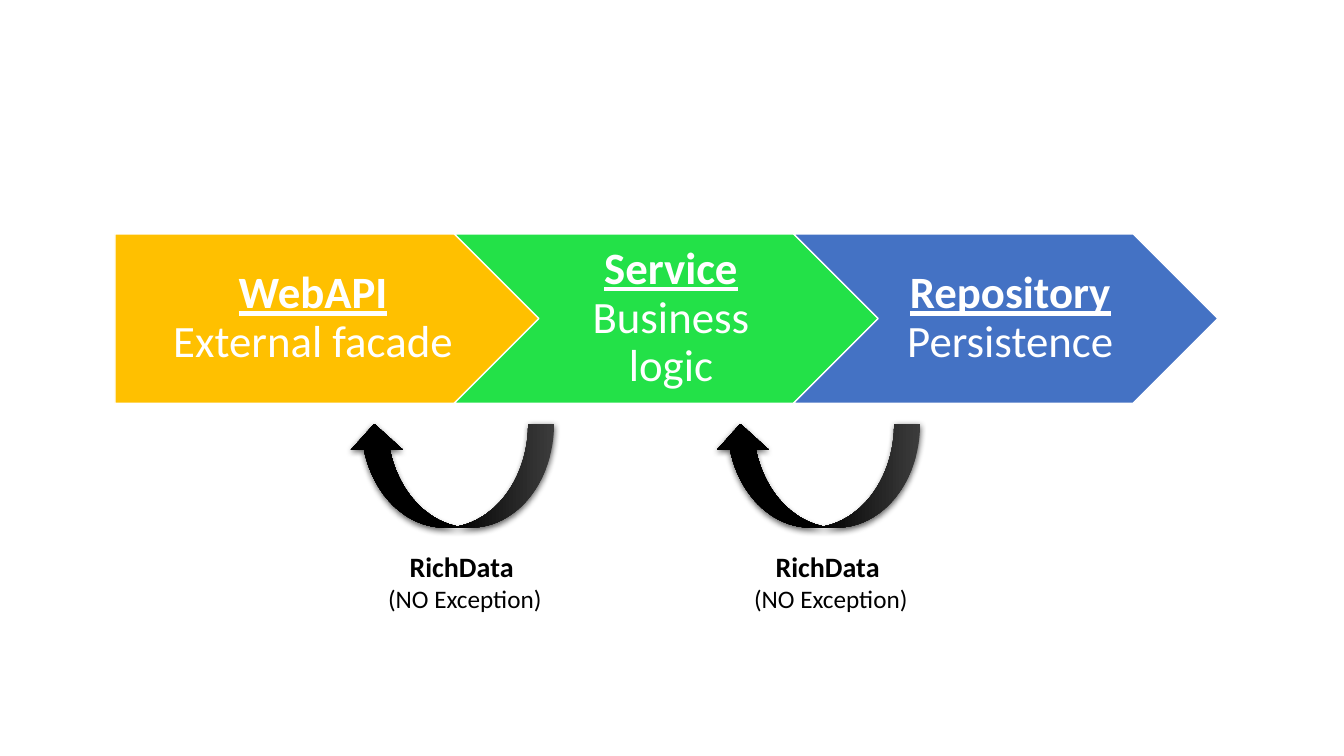
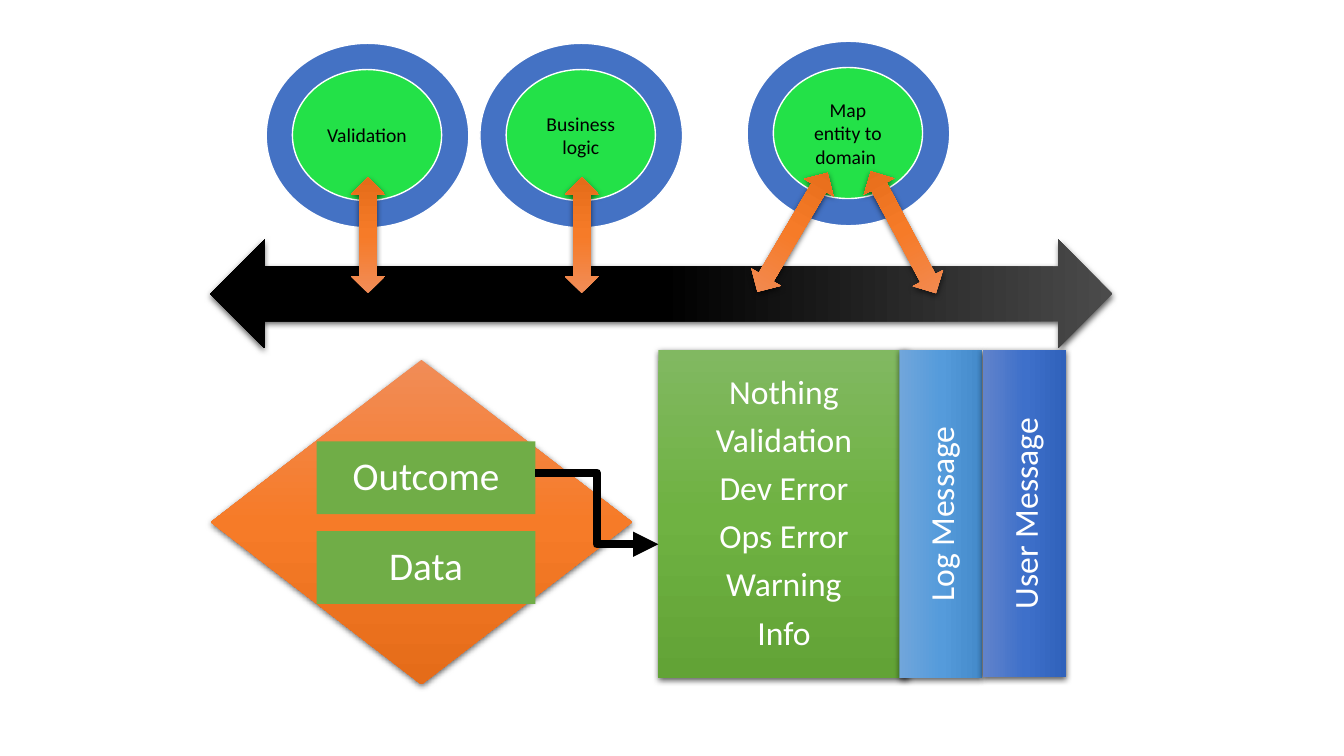
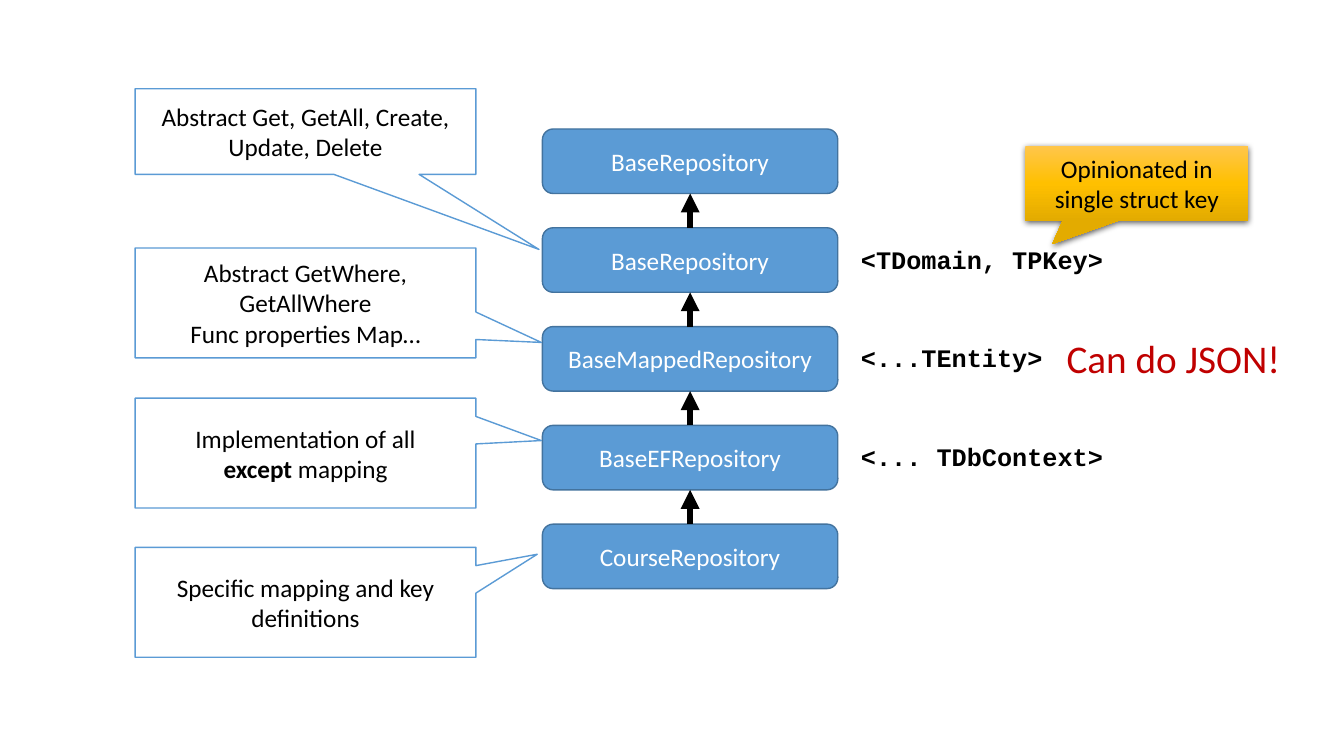
from copy import deepcopy

from lxml.etree import SubElement
from pptx import Presentation
from pptx.dml.color import RGBColor
from pptx.enum.shapes import MSO_CONNECTOR, MSO_SHAPE
from pptx.enum.text import MSO_ANCHOR, PP_ALIGN
from pptx.oxml.ns import qn
from pptx.util import Inches, Pt

COLORS = {
    "white": "FFFFFF", "black": "000000", "amber": "FFC000", "lime": "23E148",
    "blue": "4472C4", "sky": "5B9BD5", "sky edge": "43739E", "green": "70AD47",
    "red": "C00000",
}
GRADIENTS = {
    "black glow": ("4B4B4B", "000000", "000000"),
    "orange glow": ("F18C57", "F67B28", "E56C19"),
    "green glow": ("81B861", "6FB242", "62A336"),
    "sky glow": ("71A6DB", "559BDB", "448ACA"),
    "blue glow": ("6183CB", "3E70CA", "3062BB"),
    "amber glow": ("FFC64B", "FFC000", "E3AB00"),
}


def rgb(name):
    """Return the palette colour with this name."""
    return RGBColor.from_string(COLORS[name])


def write_text(shape, paragraphs, size=18, color="white", font="Calibri", bold=False,
               align=PP_ALIGN.CENTER, anchor=MSO_ANCHOR.MIDDLE, wrap=True,
               margins=(0.1, 0.05, 0.1, 0.05), line_spacing=None, space_after=None):
    """Write paragraphs, each a string or a list of (text, font overrides) runs."""
    frame = shape.text_frame
    frame.word_wrap = wrap
    frame.vertical_anchor = anchor
    (frame.margin_left, frame.margin_top,
     frame.margin_right, frame.margin_bottom) = map(Inches, margins)
    for index, content in enumerate(paragraphs):
        paragraph = frame.add_paragraph() if index else frame.paragraphs[0]
        paragraph.alignment = align
        paragraph.line_spacing = line_spacing
        paragraph.space_after = space_after
        for text, overrides in [(content, {})] if isinstance(content, str) else content:
            if text == "\n":
                paragraph.add_line_break()
                continue
            run = paragraph.add_run()
            run.text = text
            run.font.name = font
            run.font.size = Pt(overrides.get("size", size))
            run.font.bold = overrides.get("bold", bold)
            run.font.underline = overrides.get("underline", False)
            run.font.color.rgb = rgb(color)


def apply_glow(shape, colors):
    """Give a shape a vertical three-stop gradient and a soft shadow."""
    shape.fill.gradient()
    shape.fill.gradient_angle = 270
    stops = shape.element.spPr.find(".//" + qn("a:gsLst"))
    stops.append(deepcopy(stops[0]))
    for stop, color, position in zip(shape.fill.gradient_stops, colors, (0, 0.5, 1)):
        stop.color.rgb = RGBColor.from_string(color)
        stop.position = position
    shadow = SubElement(
        shape.element.spPr.find(qn("a:effectLst")), qn("a:outerShdw"),
        blurRad=str(Pt(4.5)), dist=str(Pt(1.5)), dir="5400000", algn="ctr", rotWithShape="0")
    color = SubElement(shadow, qn("a:srgbClr"), val=COLORS["black"])
    SubElement(color, qn("a:alpha"), val="63000")


def add_box(slide, kind, box, fill, line=None, rotation=0, adjustments=()):
    """Add a preset shape with a plain or a glowing fill."""
    shape = slide.shapes.add_shape(kind, *map(Inches, box))
    shape.shadow.inherit = False
    shape.rotation = rotation
    for index, value in enumerate(adjustments):
        shape.adjustments[index] = value
    if fill in GRADIENTS:
        apply_glow(shape, GRADIENTS[fill])
    else:
        shape.fill.solid()
        shape.fill.fore_color.rgb = rgb(fill)
    if line:
        shape.line.color.rgb = rgb(line)
        shape.line.width = Pt(1)
    else:
        shape.line.fill.background()
    return shape


def add_label(slide, box, paragraphs, **text_format):
    """Add a text box."""
    label = slide.shapes.add_textbox(*map(Inches, box))
    write_text(label, paragraphs, anchor=MSO_ANCHOR.TOP, **text_format)


def add_arrow(slide, kind, start, end, width):
    """Add a black connector with a triangle at its end."""
    connector = slide.shapes.add_connector(kind, *map(Inches, (*start, *end)))
    connector.line.color.rgb = rgb("black")
    connector.line.width = Pt(width)
    properties = connector.element.spPr
    SubElement(properties.find(qn("a:ln")), qn("a:tailEnd"), type="triangle")
    SubElement(properties, qn("a:effectLst"))


def add_layer_chain(slide, left, top):
    """Draw the three layers as a row of interlocking arrows."""
    layers = [
        (MSO_SHAPE.PENTAGON, "amber", 0.19, "WebAPI", [("\n", {}), ("External facade", {})]),
        (MSO_SHAPE.CHEVRON, "lime", 0.14, "Service", [(" Business logic", {})]),
        (MSO_SHAPE.CHEVRON, "blue", 0.14, "Repository", [(" Persistence", {})]),
    ]
    for index, (kind, fill, margin, name, role) in enumerate(layers):
        layer = add_box(slide, kind, (left + 3.365 * index, top, 4.21, 1.68), fill, "white")
        heading = (name, {"bold": True, "underline": True})
        write_text(layer, [[heading, *role]], size=32, line_spacing=0.9,
                   margins=(margin, 0.09, 0.05, 0.09))


def add_return_flow(slide, left, top):
    """Draw a curved return arrow above its caption."""
    add_box(slide, MSO_SHAPE.CURVED_LEFT_ARROW, (left + 0.22, top, 1.03, 2.04),
            "black glow", rotation=90)
    caption = [("RichData ", {"size": 20, "bold": True}), ("\n", {}), ("(NO Exception)", {})]
    add_label(slide, (left, top + 1.7, 1.74, 0.74), [caption], color="black", wrap=False)


def add_stage(slide, left, top, name, arrows):
    """Draw a ringed stage with double arrows down to the data bus."""
    add_box(slide, MSO_SHAPE.OVAL, (left, top, 2.01, 1.83), "blue", "white")
    core = add_box(slide, MSO_SHAPE.OVAL, (left + 0.26, top + 0.26, 1.48, 1.3), "lime", "white")
    write_text(core, [name], size=14, color="black")
    for across, down, height, rotation in arrows:
        add_box(slide, MSO_SHAPE.UP_DOWN_ARROW, (left + across, top + down, 0.34, height),
                "orange glow", rotation=rotation)


def add_result(slide, left, top):
    """Draw the result arrow holding the outcome and the data."""
    add_box(slide, MSO_SHAPE.UP_DOWN_ARROW, (left, top, 4.18, 3.22), "orange glow",
            adjustments=(0.727, 0.25))
    for index, name in enumerate(("Outcome", "Data")):
        part = add_box(slide, MSO_SHAPE.RECTANGLE,
                       (left + 1.05, top + 0.81 + 0.89 * index, 2.17, 0.72), "green")
        write_text(part, [name], size=28, line_spacing=0.9, margins=(0.02,) * 4)


def add_outcome_details(slide, left, top):
    """Draw the outcome kinds beside the two upright message bars."""
    kinds = add_box(slide, MSO_SHAPE.RECTANGLE, (left, top, 2.49, 3.26), "green glow")
    write_text(kinds, ["Nothing", "Validation", "Dev Error", "Ops Error", "Warning", "Info"],
               size=24, line_spacing=0.9, space_after=Pt(8.4), margins=(0.02,) * 4)
    add_arrow(slide, MSO_CONNECTOR.ELBOW, (left - 1.22, top + 1.22), (left, top + 1.93), 6)
    bars = [("Log Message", "sky glow", 3.26), ("User Message", "blue glow", 3.25)]
    for index, (name, fill, length) in enumerate(bars):
        center = left + 2.8 + 0.83 * index
        bar = add_box(slide, MSO_SHAPE.RECTANGLE,
                      (center - length / 2, top + length / 2 - 0.41, length, 0.82),
                      fill, rotation=270)
        write_text(bar, [name], size=24)


def add_class_tower(slide, left, top):
    """Draw the class hierarchy with inheritance arrows and type parameters."""
    width, height, pitch = 2.93, 0.64, 0.98
    classes = [
        ("BaseRepository", None), ("BaseRepository", "<TDomain, TPKey>"),
        ("BaseMappedRepository", "<...TEntity>"), ("BaseEFRepository", "<... TDbContext>"),
        ("CourseRepository", None),
    ]
    for index, (name, parameters) in enumerate(classes):
        row = top + pitch * index
        box = add_box(slide, MSO_SHAPE.ROUNDED_RECTANGLE, (left, row, width, height),
                      "sky", "sky edge")
        write_text(box, [name])
        if index:
            center = left + width / 2
            add_arrow(slide, MSO_CONNECTOR.STRAIGHT, (center, row),
                      (center, row - pitch + height), 4.5)
        if parameters:
            add_label(slide, (left + 3.06, row + 0.11, 2.69, 0.4), [parameters],
                      font="Courier New", color="black", bold=True, align=PP_ALIGN.LEFT)


def add_callout(slide, box, pointer, paragraphs, fill="white", line="sky"):
    """Draw a callout whose pointer is given relative to its centre."""
    callout = add_box(slide, MSO_SHAPE.RECTANGULAR_CALLOUT, box, fill, line,
                      adjustments=pointer)
    write_text(callout, paragraphs, color="black")


def build_layers_slide(slide):
    """Build the slide on the layers and what flows back."""
    add_layer_chain(slide, 1.14, 2.32)
    for left in (7.37, 3.74):
        add_return_flow(slide, left, 3.7)


def build_pipeline_slide(slide):
    """Build the slide on the stages and the result they share."""
    add_box(slide, MSO_SHAPE.UP_DOWN_ARROW, (6.02, -1.56, 1.08, 8.95), "black glow",
            rotation=90, adjustments=(0.483, 0.5))
    upright = [(0.84, 1.33, 1.15, 180)]
    add_stage(slide, 2.64, 0.43, "Validation", upright)
    add_stage(slide, 4.76, 0.43, "Business logic", upright)
    add_stage(slide, 7.41, 0.41, "Map entity to domain ",
              [(0.28, 1.21, 1.37, 210.5), (1.38, 1.21, 1.37, 151.9)])
    add_result(slide, 2.09, 3.57)
    add_outcome_details(slide, 6.53, 3.47)


def build_repository_slide(slide):
    """Build the slide on the repository classes and their notes."""
    add_class_tower(slide, 5.38, 1.28)
    add_callout(slide, (10.17, 1.45, 2.21, 0.74), (-0.379, 0.812),
                ["Opinionated in single struct key"], "amber glow", None)
    notes = [
        (0.88, 0.85, (0.685, 1.376), ["Abstract Get, GetAll, Create, Update, Delete"]),
        (2.46, 1.09, (0.692, 0.36), ["Abstract GetWhere, GetAllWhere", "Func properties Map…"]),
        (3.95, 1.09, (0.692, -0.114), [[("Implementation of all", {}), ("\n", {}),
                                        ("except ", {"bold": True}), ("mapping", {})]]),
        (5.43, 1.09, (0.68, -0.437), ["Specific mapping and key definitions"]),
    ]
    for top, height, pointer, paragraphs in notes:
        add_callout(slide, (1.34, top, 3.38, height), pointer, paragraphs)
    add_label(slide, (10.48, 3.27, 2.61, 0.57), ["Can do JSON!"], size=28, color="red",
              align=PP_ALIGN.LEFT, wrap=False)


def main():
    """Build and save the presentation."""
    presentation = Presentation()
    presentation.slide_width = Inches(13.33)
    presentation.slide_height = Inches(7.5)
    for build in (build_layers_slide, build_pipeline_slide, build_repository_slide):
        build(presentation.slides.add_slide(presentation.slide_layouts[6]))
    presentation.save("out.pptx")


if __name__ == "__main__":
    main()
